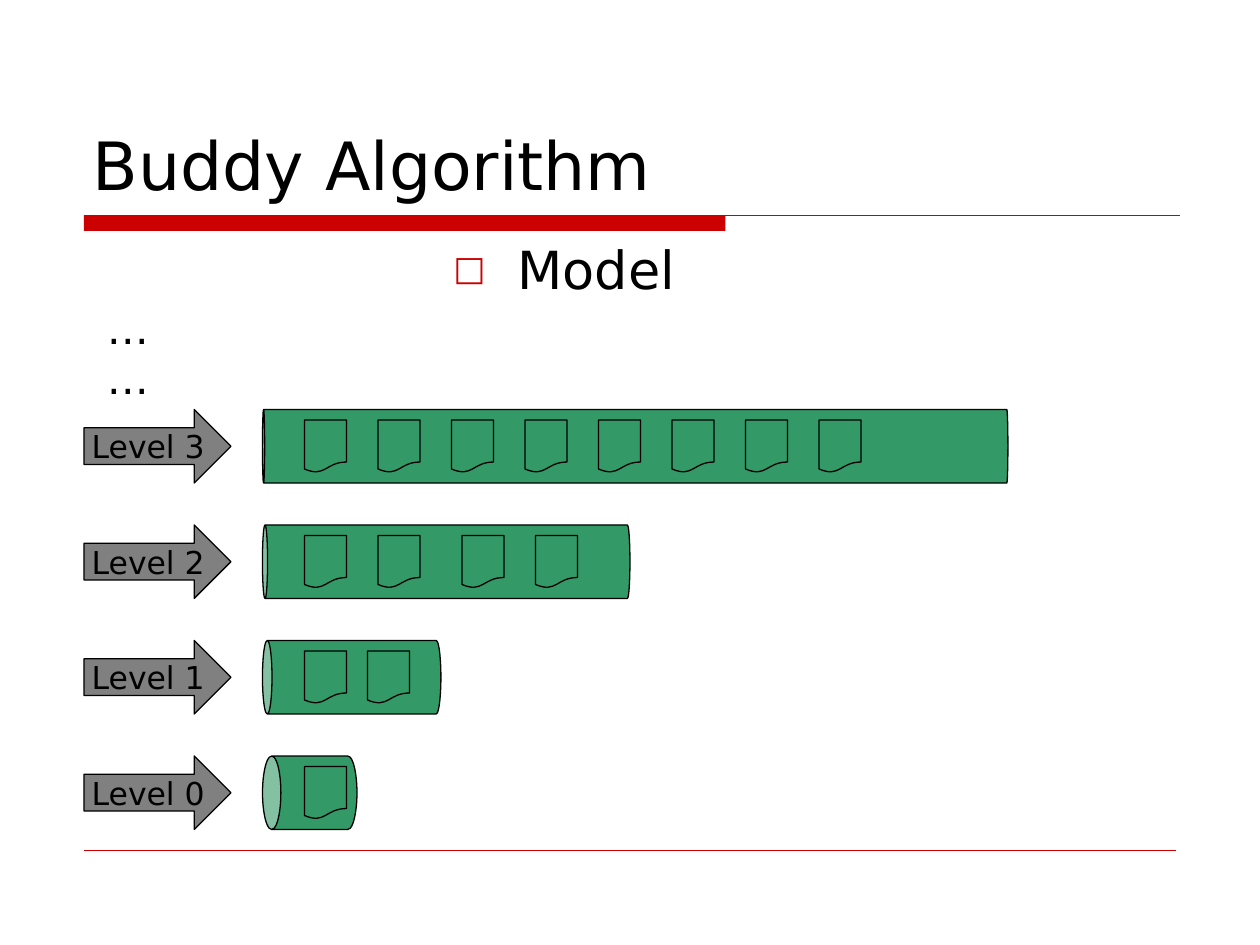
"""Build the slide that models the levels of the buddy algorithm."""
from dataclasses import dataclass

import lxml.etree
import pptx
import pptx.dml.color
import pptx.enum.shapes
import pptx.enum.text
import pptx.oxml.ns
import pptx.presentation
import pptx.shapes.autoshape
import pptx.slide
import pptx.text.text
import pptx.util

RGB = pptx.dml.color.RGBColor
KIND = pptx.enum.shapes.MSO_SHAPE
ALIGN = pptx.enum.text.PP_ALIGN
ANCHOR = pptx.enum.text.MSO_ANCHOR
FIT = pptx.enum.text.MSO_AUTO_SIZE

PX = 7620
FONT = "DejaVu Sans"
BLACK = RGB(0x00, 0x00, 0x00)
RED = RGB(0xCC, 0x00, 0x00)
GRAY = RGB(0x80, 0x80, 0x80)
GREEN = RGB(0x33, 0x99, 0x66)

EDGE = 80
ROW_TOP = 390
ROW_STEP = 110
ROW_HIGH = 70
CAN_LEFT = 250


@dataclass(frozen=True)
class Level:
    name: str
    length: int
    cap: float
    pages: tuple[int, ...]


LEVELS = (
    Level("Level 3", 710, 0.03, tuple(range(290, 781, 70))),
    Level("Level 2", 350, 0.07, (290, 360, 440, 510)),
    Level("Level 1", 170, 0.13, (290, 350)),
    Level("Level 0", 90, 0.25, (290,)),
)


def px(*sizes: int) -> list[pptx.util.Emu]:
    """Turn px lengths into EMU."""
    return [pptx.util.Emu(round(size * PX)) for size in sizes]


def style(part: pptx.text.text._Paragraph, size: int) -> None:
    """Set the font of a paragraph."""
    part.font.name = FONT
    part.font.size = pptx.util.Pt(size)
    part.font.color.rgb = BLACK


def add_box(slide: pptx.slide.Slide, kind: KIND, box: tuple[int, ...],
            fill: RGB) -> pptx.shapes.autoshape.Shape:
    """Draw a filled shape with a thin black outline."""
    shape = slide.shapes.add_shape(kind, *px(*box))
    shape.shadow.inherit = False
    shape.fill.solid()
    shape.fill.fore_color.rgb = fill
    shape.line.color.rgb = BLACK
    shape.line.width = pptx.util.Pt(0.75)
    return shape


def add_rule(slide: pptx.slide.Slide, top: int, right: int, width: float) -> None:
    """Draw a red line from the left edge."""
    line = slide.shapes.add_connector(
        pptx.enum.shapes.MSO_CONNECTOR.STRAIGHT, *px(EDGE, top, right, top))
    line.line.color.rgb = RED
    line.line.width = pptx.util.Pt(width)
    lxml.etree.SubElement(line._element.spPr, pptx.oxml.ns.qn("a:effectLst"))


def add_text(slide: pptx.slide.Slide, box: tuple[int, ...],
             text: str) -> pptx.text.text._Paragraph:
    """Add a wrapped text box and return its paragraph."""
    frame = slide.shapes.add_textbox(*px(*box)).text_frame
    frame.word_wrap = True
    frame.text = text
    return frame.paragraphs[0]


def add_mark(part: pptx.text.text._Paragraph) -> None:
    """Give a paragraph a hanging red square bullet."""
    props = part._p.get_or_add_pPr()
    indent = pptx.util.Inches(0.51)
    props.set("marL", str(indent))
    props.set("indent", str(-indent))
    qn = pptx.oxml.ns.qn
    color = lxml.etree.SubElement(props, qn("a:buClr"))
    lxml.etree.SubElement(color, qn("a:srgbClr"), val=str(RED))
    lxml.etree.SubElement(props, qn("a:buSzPct"), val="65000")
    lxml.etree.SubElement(props, qn("a:buFont"), typeface=FONT)
    lxml.etree.SubElement(props, qn("a:buChar"), char="□")


def add_level(slide: pptx.slide.Slide, level: Level, top: int) -> None:
    """Draw one level: its arrow, its can and the pages inside."""
    arrow = add_box(slide, KIND.RIGHT_ARROW, (EDGE, top, 140, ROW_HIGH), GRAY)
    frame = arrow.text_frame
    frame.word_wrap = False
    frame.vertical_anchor = ANCHOR.MIDDLE
    frame.text = level.name
    frame.paragraphs[0].alignment = ALIGN.CENTER
    style(frame.paragraphs[0], 18)

    shift = (level.length - ROW_HIGH) // 2
    can = add_box(slide, KIND.CAN,
                  (CAN_LEFT + shift, top - shift, ROW_HIGH, level.length), GREEN)
    can.rotation = 270
    can.adjustments[0] = level.cap
    for left in level.pages:
        add_box(slide, KIND.FLOWCHART_DOCUMENT, (left, top + 10, 40, 50), GREEN)


def add_title(slide: pptx.slide.Slide) -> None:
    """Place and format the title."""
    title = slide.shapes.title
    title.left, title.top, title.width, title.height = px(76, 40, 1050, 160)
    frame = title.text_frame
    frame.text = "Buddy Algorithm"
    frame.auto_size = FIT.NONE
    frame.vertical_anchor = ANCHOR.BOTTOM
    frame.paragraphs[0].alignment = ALIGN.LEFT
    style(frame.paragraphs[0], 38)


def main() -> None:
    """Build and save the slide."""
    deck = pptx.Presentation()
    deck.slide_width, deck.slide_height = px(1200, 900)
    slide = deck.slides.add_slide(deck.slide_layouts[5])

    bar = add_box(slide, KIND.RECTANGLE, (EDGE, 205, 611, 15), RED)
    bar.line.fill.background()
    add_rule(slide, 205, 1124, 0.75)
    add_rule(slide, 810, 1120, 0.25)
    add_title(slide)

    style(add_text(slide, (90, 282, 90, 60), "……"), 24)
    for row, level in enumerate(LEVELS):
        add_level(slide, level, ROW_TOP + row * ROW_STEP)

    model = add_text(slide, (420, 220, 270, 90), "Model")
    add_mark(model)
    style(model, 30)
    deck.save("out.pptx")


if __name__ == "__main__":
    main()
